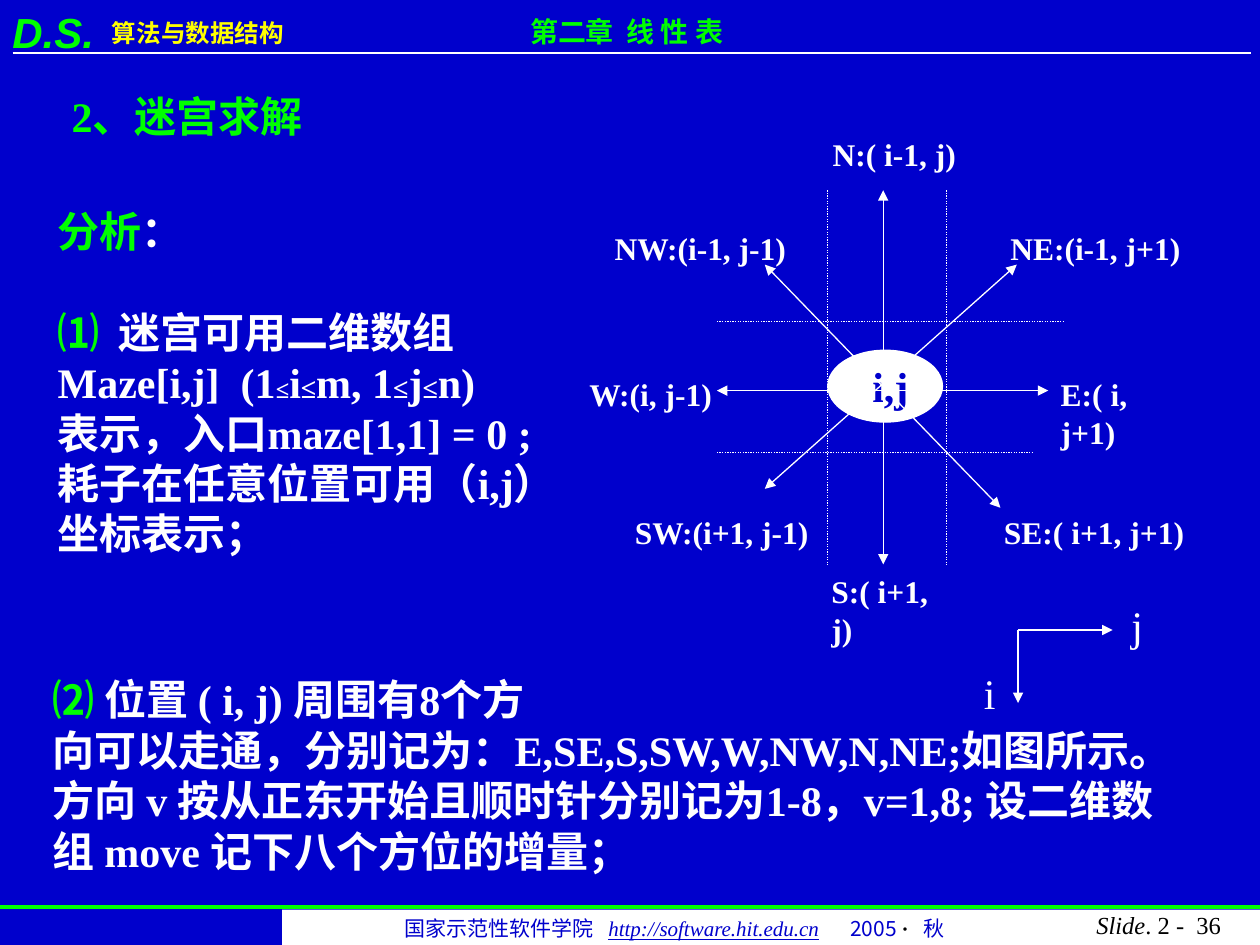
from lxml.etree import SubElement
from pptx import Presentation
from pptx.dml.color import RGBColor
from pptx.enum.dml import MSO_LINE
from pptx.enum.shapes import MSO_CONNECTOR, MSO_SHAPE
from pptx.enum.text import MSO_ANCHOR, MSO_AUTO_SIZE, PP_ALIGN
from pptx.oxml.ns import qn
from pptx.util import Inches, Pt

COLORS = {
    "blue": "0000CC",
    "green": "00FF00",
    "yellow": "FFFF00",
    "white": "FFFFFF",
    "black": "000000",
}
SERIF = "Times New Roman"
CHINESE = "Noto Sans CJK SC"


def color(name):
    return RGBColor.from_string(COLORS[name])


def add_run(paragraph, text, size=24, ink="white", bold=True, italic=False,
            underline=False, font=SERIF):
    run = paragraph.add_run()
    run.text = text
    run.font.size = Pt(size)
    run.font.bold = bold
    run.font.italic = italic
    run.font.underline = underline
    run.font.name = font
    run.font.color.rgb = color(ink)
    east_asian = SubElement(run.font._element, qn("a:ea"))
    east_asian.set("typeface", CHINESE)


def add_tabs(paragraph, positions):
    """Set left tab stops, in inches from the text edge."""
    tab_list = SubElement(paragraph._p.get_or_add_pPr(), qn("a:tabLst"))
    for position in positions:
        SubElement(tab_list, qn("a:tab"), pos=str(Inches(position)), algn="l")


def add_text(slide, left, top, width, height, lines, wrap=False, align=PP_ALIGN.LEFT):
    """Add a text box; each line is a list of (text, run options) pairs."""
    box = slide.shapes.add_textbox(Inches(left), Inches(top), Inches(width), Inches(height))
    frame = box.text_frame
    frame.word_wrap = wrap
    frame.auto_size = MSO_AUTO_SIZE.SHAPE_TO_FIT_TEXT
    for index, line in enumerate(lines):
        paragraph = frame.add_paragraph() if index else frame.paragraphs[0]
        paragraph.alignment = align
        for text, options in line:
            add_run(paragraph, text, **options)
    return frame


def add_line(slide, start, end, ink="white", width=0.75, dotted=False, arrows=()):
    """Draw a straight line; arrows may name headEnd (start) and tailEnd (end)."""
    line = slide.shapes.add_connector(
        MSO_CONNECTOR.STRAIGHT, *(Inches(value) for value in (*start, *end)))
    line.line.color.rgb = color(ink)
    line.line.width = Pt(width)
    if dotted:
        line.line.dash_style = MSO_LINE.ROUND_DOT
    outline = line.line._get_or_add_ln()
    for arrow in arrows:
        SubElement(outline, qn(f"a:{arrow}"), type="triangle")
    SubElement(line._element.spPr, qn("a:effectLst"))


def add_white_shape(slide, kind, left, top, width, height):
    shape = slide.shapes.add_shape(
        kind, Inches(left), Inches(top), Inches(width), Inches(height))
    shape.shadow.inherit = False
    shape.fill.solid()
    shape.fill.fore_color.rgb = color("white")
    shape.line.fill.background()
    return shape


def add_header(slide):
    course = {"size": 14, "ink": "yellow", "font": CHINESE}
    add_text(slide, 0.79, 0.09, 1.88, 0.34, [[("算法与数据结构", course)]], wrap=True)
    add_line(slide, (0.1, 0.42), (9.93, 0.42))
    initials = {"ink": "green", "italic": True, "font": "Arial"}
    add_text(slide, 0, 0, 1, 0.5, [[("D.S.", initials)]], wrap=True)
    chapter = {"size": 16, "ink": "green"}
    add_text(slide, 4.11, 0.07, 1.97, 0.37, [[("第二章  线 性 表", chapter)]], wrap=True)


def add_footer(slide):
    add_line(slide, (0, 7.2), (10, 7.2), "green", 2)
    add_white_shape(slide, MSO_SHAPE.RECTANGLE, 2.24, 7.22, 7.76, 0.28)
    chinese = {"size": 12, "ink": "blue", "bold": False, "font": CHINESE}
    link = {**chinese, "font": SERIF, "italic": True, "underline": True}
    dot = {"size": 12, "ink": "black"}
    frame = add_text(slide, 3.11, 7.22, 4.72, 0.3, [[
        ("国家示范性软件学院\t", chinese),
        ("http://software.hit.edu.cn", link),
        ("\t2005 ", chinese),
        ("·\t", dot),
        ("秋", chinese),
    ]], wrap=True)
    add_tabs(frame.paragraphs[0], (1.62, 3.54, 4.12))
    number = {"size": 14, "ink": "black", "bold": False}
    add_text(slide, 8.31, 7.17, 1.48, 0.34,
             [[("Slide", {**number, "italic": True}), (". 2 -  36", number)]],
             wrap=True, align=PP_ALIGN.RIGHT)


def add_analysis(slide):
    green = {"ink": "green"}
    add_text(slide, 0.47, 0.67, 2.11, 0.5, [[("2、迷宫求解", green)]])
    frame = add_text(slide, 0.36, 1.58, 4.31, 2.9, [
        [("分析", green), ("：", {})],
        [("⑴", green), ("\t迷宫可用二维数组", {})],
        [("Maze[i,j]  (1", {}), ("≤", {"size": 14}), ("i", {}), ("≤", {"size": 16}),
         ("m, 1", {}), ("≤", {"size": 16}), ("j", {}), ("≤", {"size": 16}), ("n)", {})],
        [("表示，入口maze[1,1] = 0 ;", {})],
        [("耗子在任意位置可用（i,j）", {})],
        [("坐标表示；", {})],
    ])
    first_point = frame.paragraphs[1]
    first_point.space_before = Pt(29)
    add_tabs(first_point, [0.48])
    add_text(slide, 0.32, 5.3, 9.42, 1.7, [
        [("⑵ ", green), ("位置 ( i, j) 周围有8个方", {})],
        [("向可以走通，分别记为：E,SE,S,SW,W,NW,N,NE;如图所示。", {})],
        [("方向 v 按从正东开始且顺时针分别记为1-8，v=1,8; 设二维数", {})],
        [("组 move 记下八个方位的增量；", {})],
    ])


def add_compass(slide):
    position = add_white_shape(slide, MSO_SHAPE.OVAL, 6.57, 2.78, 0.91, 0.57)
    position.line.color.rgb = color("white")
    position.line.width = Pt(0.75)
    frame = position.text_frame
    frame.margin_left = frame.margin_top = frame.margin_right = frame.margin_bottom = 0
    frame.vertical_anchor = MSO_ANCHOR.MIDDLE
    frame.paragraphs[0].alignment = PP_ALIGN.CENTER
    add_run(frame.paragraphs[0], " i,j", ink="blue")

    for y, right in ((2.55, 8.44), (3.59, 8.19)):
        add_line(slide, (5.69, y), (right, y), dotted=True)
    for x in (6.57, 7.51):
        add_line(slide, (x, 1.51), (x, 4.48), dotted=True)

    directions = (
        ((7.01, 1.51), (7.01, 4.48)),
        ((5.69, 3.1), (8.32, 3.1)),
        ((6.07, 3.88), (8.07, 2.1)),
        ((6.07, 2.1), (7.94, 4.03)),
    )
    for start, end in directions:
        add_line(slide, start, end, arrows=("headEnd", "tailEnd"))

    labels = (
        ("N:( i-1, j)", 6.51, 1.02, 1.18),
        ("NE:(i-1, j+1)", 7.92, 1.77, 1.55),
        ("E:( i, j+1)", 8.32, 2.93, 1.22),
        ("SE:( i+1, j+1)", 7.87, 4.02, 1.63),
        ("S:( i+1, j)", 6.5, 4.49, 1.19),
        ("SW:(i+1, j-1)", 4.94, 4.02, 1.59),
        ("W:(i, j-1)", 4.58, 2.93, 1.18),
        ("NW:(i-1, j-1)", 4.78, 1.77, 1.57),
    )
    for text, left, top, width in labels:
        add_text(slide, left, top, width, 0.4, [[(text, {"size": 18})]])


def add_axes(slide):
    origin = (8.08, 5)
    for name, end, left, top in (("j", (8.83, 5), 8.88, 4.71),
                                 ("i", (8.08, 5.58), 7.71, 5.25)):
        add_line(slide, origin, end, arrows=("tailEnd",))
        add_text(slide, left, top, 0.29, 0.5, [[(name, {"bold": False})]])


def main():
    presentation = Presentation()
    presentation.slide_width = Inches(10)
    presentation.slide_height = Inches(7.5)
    slide = presentation.slides.add_slide(presentation.slide_layouts[6])
    slide.background.fill.solid()
    slide.background.fill.fore_color.rgb = color("blue")
    add_header(slide)
    add_footer(slide)
    add_analysis(slide)
    add_compass(slide)
    add_axes(slide)
    presentation.save("out.pptx")


if __name__ == "__main__":
    main()
